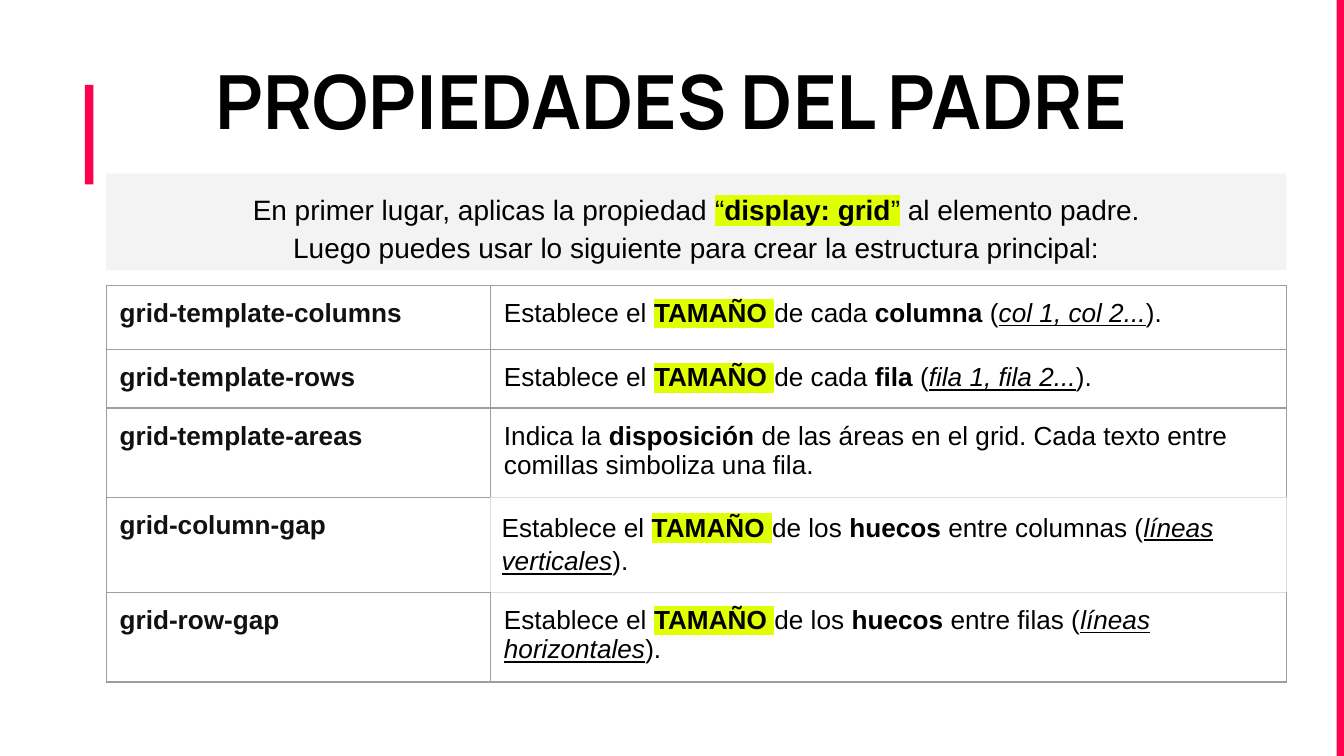
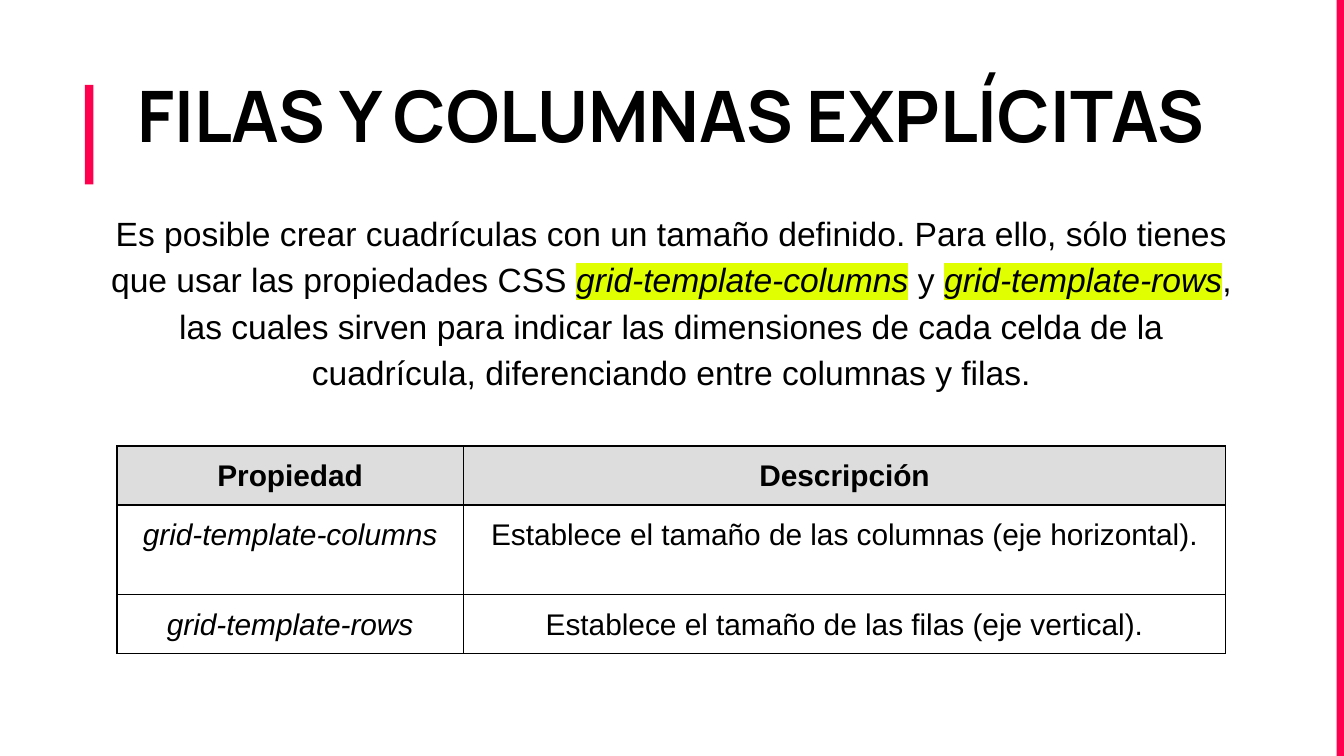
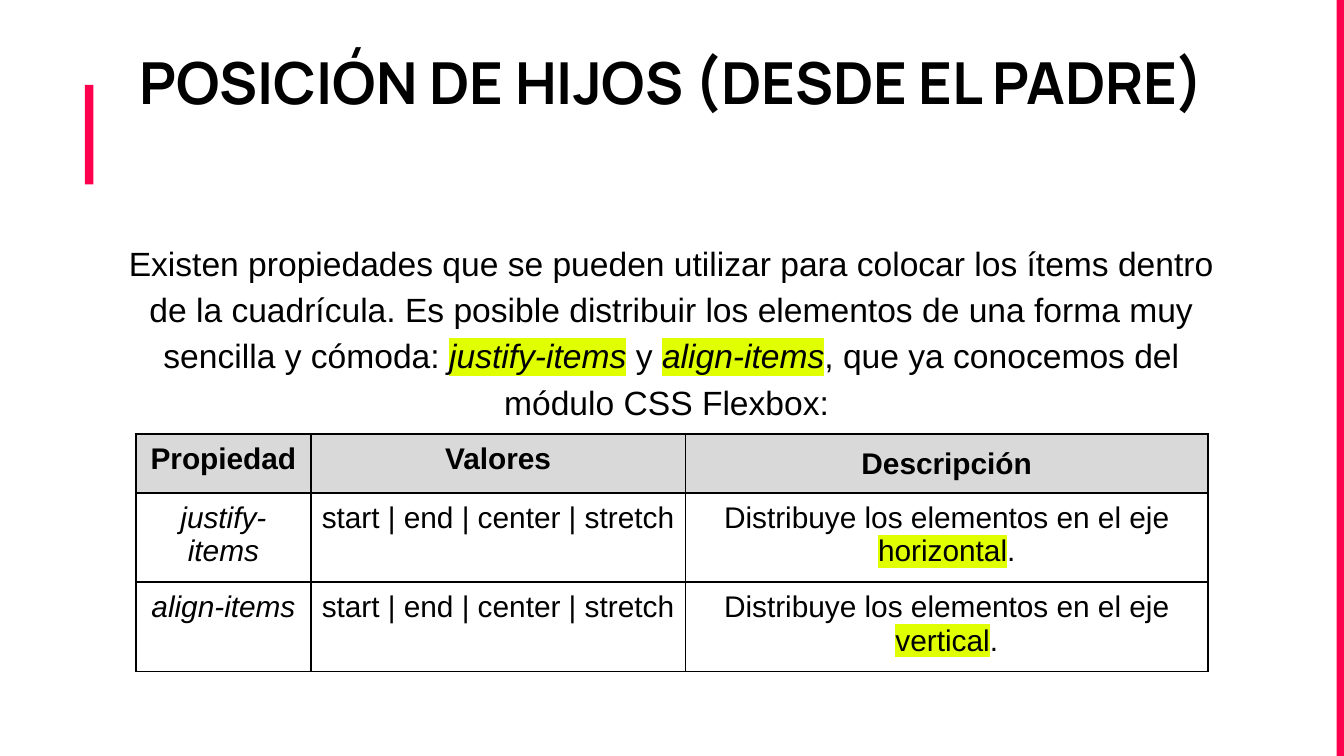
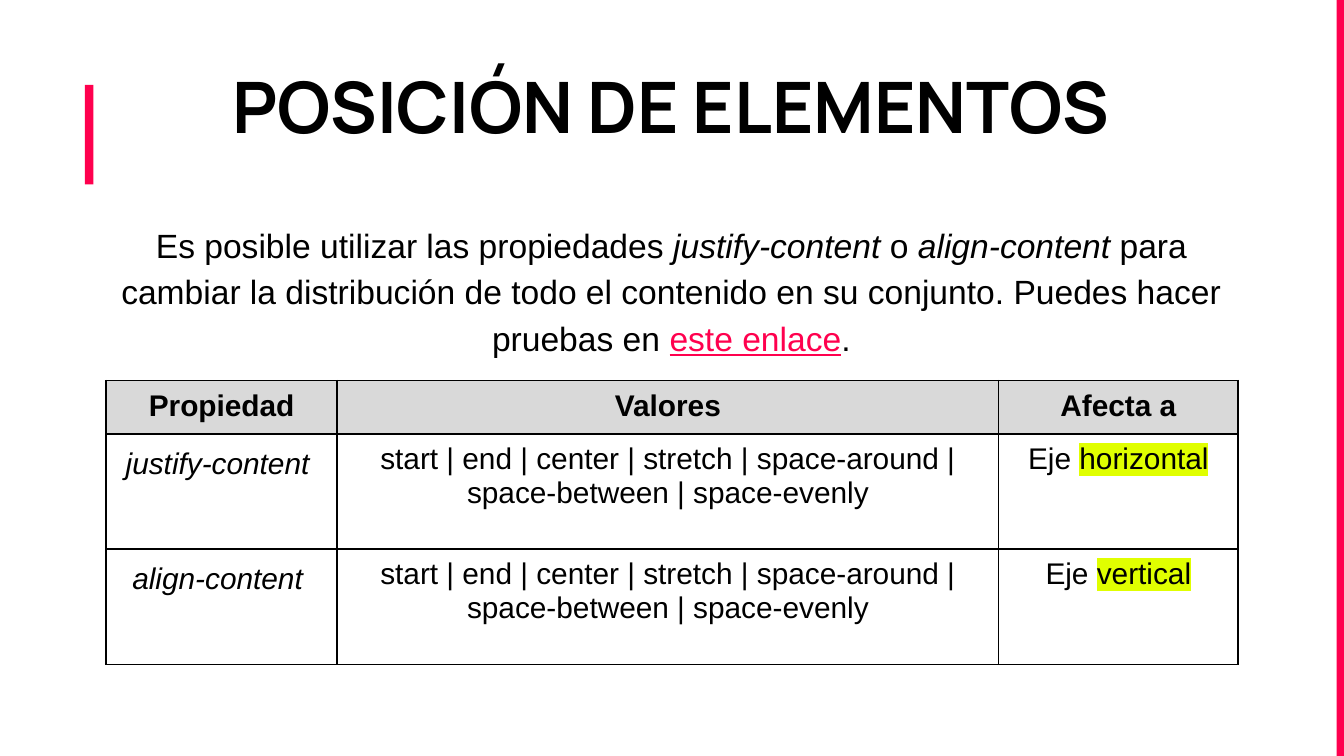
"""Build four slides about the properties of CSS grid containers."""
from dataclasses import dataclass

from lxml.etree import SubElement
from pptx import Presentation
from pptx.dml.color import RGBColor as Color
from pptx.enum.shapes import MSO_SHAPE as Preset
from pptx.enum.text import MSO_ANCHOR as Anchor, PP_ALIGN as Align
from pptx.oxml.ns import qn
from pptx.util import Pt


@dataclass(frozen=True)
class Theme:
    accent: str = "FF004E"
    marker: str = "E0FF00"
    ink: str = "000000"
    term: str = "111111"
    panel: str = "F3F3F3"
    grid: str = "9E9E9E"
    grid_light: str = "DDDDDD"
    title_font: str = "Manrope"
    body_font: str = "Arial"
    body_size: float = 18
    panel_size: float = 15
    table_size: float = 16
    term_size: float = 14
    loose: float = 1.15
    inset: float = 7.2
    cell_inset: float = 4.75
    light_inset: float = 6


THEME = Theme()
SLIDE_SIZE = (720, 405)
BARS = [(45.5, 45.5, 4.5, 53.25), (716, 0, 4, 405)]
TEXT_LEFT, TEXT_WIDTH = 50.4, 618.5

SIZE_MARK = [("TAMAÑO", "bh"), (" ", "h")]
VALUES = "start | end | center | stretch"
MORE_VALUES = VALUES + " | space-around | space-between | space-evenly"

SLIDES = [
    {
        "title": ("PROPIEDADES DEL PADRE", 40, 15.1, 54.7),
        "body": {
            "box": (56.9, 93, 632.2, 51.8),
            "fill": THEME.panel,
            "size": THEME.panel_size,
            "text": [
                ["En primer lugar, aplicas la propiedad ", ("“", "h"),
                 ("display: grid", "bh"), ("”", "h"), " al elemento padre."],
                ["Luego puedes usar lo siguiente para crear la estructura principal:"],
            ],
        },
        "table": {
            "origin": (56.9, 152.9),
            "columns": (205.9, 426.3),
            "rows": (34.5, 30, 46, 48, 45.5),
            "size": THEME.term_size,
            "align": Align.LEFT,
            "inset": THEME.inset,
            "line": (THEME.grid, 0.75),
            "term_color": THEME.term,
            "light_cell": (3, 1),
            "loose": [(3, 1)],
            "cells": [
                [[("grid-template-columns", "b")],
                 ["Establece el ", *SIZE_MARK, "de cada ", ("columna", "b"),
                  " (", ("col 1, col 2...", "iu"), ")."]],
                [[("grid-template-rows", "b")],
                 ["Establece el ", *SIZE_MARK, "de cada ", ("fila", "b"),
                  " (", ("fila 1, fila 2...", "iu"), ")."]],
                [[("grid-template-areas", "b")],
                 ["Indica la ", ("disposición", "b"),
                  " de las áreas en el grid. Cada texto entre comillas simboliza una fila."]],
                [[("grid-column-gap", "b")],
                 ["Establece el ", *SIZE_MARK, "de los ", ("huecos", "b"),
                  " entre columnas (", ("líneas verticales", "iu"), ")."]],
                [[("grid-row-gap", "b")],
                 ["Establece el ", *SIZE_MARK, "de los ", ("huecos", "b"),
                  " entre filas (", ("líneas horizontales", "iu"), ")."]],
            ],
        },
    },
    {
        "title": ("FILAS Y COLUMNAS EXPLÍCITAS", 38, 24.5, 54.7),
        "body": {
            "box": (TEXT_LEFT, 110.9, TEXT_WIDTH, 123.8),
            "top_inset": 0,
            "text": [
                ["Es posible crear cuadrículas con un tamaño definido. Para ello, sólo "
                 "tienes que usar las propiedades CSS ", ("grid-template-columns", "ih"),
                 " y ", ("grid-template-rows", "ih"),
                 ", las cuales sirven para indicar las dimensiones de cada celda de la "
                 "cuadrícula, diferenciando entre columnas y filas."],
            ],
        },
        "table": {
            "origin": (62.6, 239),
            "columns": (185.8, 408.2),
            "rows": (30, 48, 30),
            "header_fill": "DDDDDD",
            "loose": [(row, column) for row in range(3) for column in range(2)],
            "cells": [
                [[("Propiedad", "b")], [("Descripción", "b")]],
                [[("grid-template-columns", "i")],
                 ["Establece el tamaño de las columnas (eje horizontal)."]],
                [[("grid-template-rows", "i")],
                 ["Establece el tamaño de las filas (eje vertical)."]],
            ],
        },
    },
    {
        "title": ("POSICIÓN DE HIJOS (DESDE EL PADRE)", 31, 12.2, 84.2),
        "body": {
            "box": (TEXT_LEFT, 119.5, TEXT_WIDTH, 93.6),
            "text": [
                ["Existen propiedades que se pueden utilizar para colocar los ítems dentro "
                 "de la cuadrícula. Es posible distribuir los elementos de una forma muy "
                 "sencilla y cómoda: ", ("justify-items", "ih"), " y ",
                 ("align-items", "ih"), ", que ya conocemos del módulo CSS Flexbox: "],
            ],
        },
        "table": {
            "origin": (72.9, 232.5),
            "columns": (93.6, 200.7, 280),
            "rows": (30, 45, 45),
            "loose": [(0, 2)],
            "cells": [
                [[("Propiedad", "b")], [("Valores", "b")], [("Descripción", "b")]],
                [[("justify-items", "i")], [VALUES],
                 ["Distribuye los elementos en el eje ", ("horizontal", "h"), "."]],
                [[("align-items", "i")], [VALUES],
                 ["Distribuye los elementos en el eje ", ("vertical", "h"), "."]],
            ],
        },
    },
    {
        "title": ("POSICIÓN DE ELEMENTOS", 38, 19.4, 84.2),
        "body": {
            "box": (TEXT_LEFT, 115.2, TEXT_WIDTH, 78.5),
            "anchor": Anchor.MIDDLE,
            "text": [
                ["Es posible utilizar las propiedades ", ("justify-content", "i"), " o ",
                 ("align-content", "i"),
                 " para cambiar la distribución de todo el contenido en su conjunto. "
                 "Puedes hacer pruebas en ", ("este enlace", "au"), "."],
            ],
        },
        "table": {
            "origin": (56.9, 203.9),
            "columns": (123.8, 354.3, 128.3),
            "rows": (27, 61.7, 61.7),
            "loose": [(1, 0), (2, 0)],
            "cells": [
                [[("Propiedad", "b")], [("Valores", "b")], [("Afecta a", "b")]],
                [[("justify-content ", "i")], [MORE_VALUES], ["Eje ", ("horizontal", "h")]],
                [[("align-content ", "i")], [MORE_VALUES], ["Eje ", ("vertical", "h")]],
            ],
        },
    },
]


def add_color(parent, tag, color):
    holder = SubElement(parent, qn(tag))
    SubElement(holder, qn("a:srgbClr"), val=color)


def write_text(frame, paragraphs, *, size, font=THEME.body_font, color=THEME.ink,
               align=Align.CENTER, spacing=None):
    """Write runs whose flags are b bold, i italic, u underline, h marker, a accent."""
    for index, runs in enumerate(paragraphs):
        paragraph = frame.add_paragraph() if index else frame.paragraphs[0]
        paragraph.alignment = align
        paragraph.line_spacing = spacing
        for item in runs:
            text, flags = (item, "") if isinstance(item, str) else item
            run = paragraph.add_run()
            run.text = text
            run.font.size = Pt(size)
            run.font.bold = "b" in flags
            run.font.italic = "i" in flags
            run.font.underline = "u" in flags
            run.font.color.rgb = Color.from_string(THEME.accent if "a" in flags else color)
            if "h" in flags:
                add_color(run._r.get_or_add_rPr(), "a:highlight", THEME.marker)
            run.font.name = font


def set_margins(target, inset, top=None):
    target.margin_left = target.margin_right = target.margin_bottom = Pt(inset)
    target.margin_top = Pt(inset if top is None else top)


def add_panel(slide, box, fill):
    shape = slide.shapes.add_shape(Preset.RECTANGLE, *map(Pt, box))
    shape.shadow.inherit = False
    shape.fill.solid()
    shape.fill.fore_color.rgb = Color.from_string(fill)
    shape.line.fill.background()
    return shape


def add_text(slide, box, paragraphs, *, fill=None, anchor=Anchor.TOP, top_inset=None, **style):
    shape = add_panel(slide, box, fill) if fill else slide.shapes.add_textbox(*map(Pt, box))
    frame = shape.text_frame
    frame.word_wrap = True
    frame.vertical_anchor = anchor
    set_margins(frame, THEME.inset, top_inset)
    write_text(frame, paragraphs, spacing=THEME.loose, **style)


def set_borders(cell, position, line, light_cell):
    row, column = position
    neighbours = {"a:lnL": (row, column - 1), "a:lnR": (row, column + 1),
                  "a:lnT": (row - 1, column), "a:lnB": (row + 1, column)}
    color, width = line
    properties = cell._tc.get_or_add_tcPr()
    for index, (tag, neighbour) in enumerate(neighbours.items()):
        border = SubElement(properties, qn(tag), w=str(Pt(width)))
        light = light_cell in (position, neighbour)
        add_color(border, "a:solidFill", THEME.grid_light if light else color)
        properties.insert(index, border)


def add_grid(slide, *, origin, columns, rows, cells, size=THEME.table_size,
             align=Align.CENTER, inset=THEME.cell_inset, line=(THEME.ink, 1),
             header_fill="D9D9D9", term_color=None, light_cell=None, loose=()):
    box = (*origin, sum(columns), sum(rows))
    table = slide.shapes.add_table(len(rows), len(columns), *map(Pt, box)).table
    table.first_row = table.horz_banding = False
    for column, width in zip(table.columns, columns):
        column.width = Pt(width)
    for row, height in zip(table.rows, rows):
        row.height = Pt(height)
    for row_index, row_cells in enumerate(cells):
        for column_index, runs in enumerate(row_cells):
            position = (row_index, column_index)
            cell = table.cell(*position)
            set_margins(cell, THEME.light_inset if position == light_cell else inset)
            if row_index == 0 and not term_color:
                cell.fill.solid()
                cell.fill.fore_color.rgb = Color.from_string(header_fill)
            else:
                cell.fill.background()
            set_borders(cell, position, line, light_cell)
            color = term_color if term_color and column_index == 0 else THEME.ink
            write_text(cell.text_frame, [runs], size=size, color=color, align=align,
                       spacing=THEME.loose if position in loose else None)


def add_content_slide(presentation, title, body, table):
    slide = presentation.slides.add_slide(presentation.slide_layouts[6])
    for bar in BARS:
        add_panel(slide, bar, THEME.accent)
    text, size, top, height = title
    add_text(slide, (TEXT_LEFT, top, TEXT_WIDTH, height), [[(text, "b")]],
             size=size, font=THEME.title_font)
    style = {"size": THEME.body_size, **body}
    add_text(slide, style.pop("box"), style.pop("text"), **style)
    add_grid(slide, **table)


def main():
    presentation = Presentation()
    presentation.slide_width, presentation.slide_height = map(Pt, SLIDE_SIZE)
    for content in SLIDES:
        add_content_slide(presentation, **content)
    presentation.save("out.pptx")


if __name__ == "__main__":
    main()
